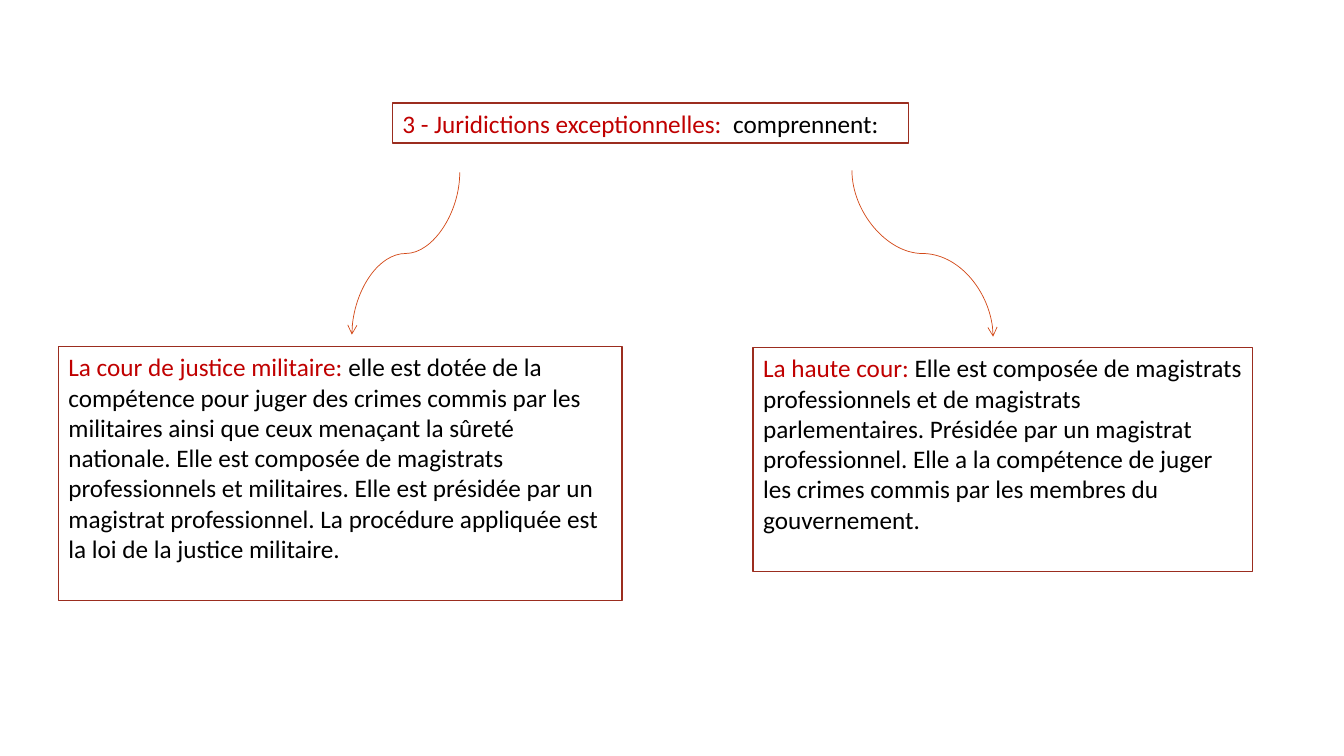
from lxml import etree
from pptx import Presentation
from pptx import util as u
from pptx.dml.color import RGBColor
from pptx.enum import shapes, text
from pptx.oxml import ns

RED, BLACK, BROWN, ORANGE, WHITE = "C00000", "000000", "9B2D1F", "D34817", "FFFFFF"


def colour(value):
    return RGBColor.from_string(value)


def add_text(paragraph, content, size=18, font="Calibri", color=BLACK):
    run = paragraph.add_run()
    run.text = content
    run.font.size = u.Pt(size)
    run.font.name = font
    run.font.color.rgb = colour(color)


presentation = Presentation()
presentation.slide_width = u.Inches(13.33)
presentation.slide_height = u.Inches(7.5)
slide = presentation.slides.add_slide(presentation.slide_layouts[5])

heading = slide.shapes.title
military_court = slide.shapes.add_textbox(0, 0, 0, 0)
high_court = slide.shapes.add_textbox(0, 0, 0, 0)

boxes = [
    (heading, 3.89, 1.02, 5.12, 0.4,
     "3 - Juridictions exceptionnelles:", "  comprennent:"),
    (military_court, 0.58, 3.44, 5.59, 2.52,
     "La cour de justice militaire: ",
     "elle est dotée de la compétence pour juger des crimes commis par les "
     "militaires ainsi que ceux menaçant la sûreté nationale. Elle est composée "
     "de magistrats professionnels et militaires. Elle est présidée par un "
     "magistrat professionnel. La procédure appliquée est la loi de la justice "
     "militaire."),
    (high_court, 7.47, 3.45, 4.95, 2.22,
     "La haute cour: ",
     "Elle est composée de magistrats professionnels et de magistrats "
     "parlementaires. Présidée par un magistrat professionnel. Elle a la "
     "compétence de juger les crimes commis par les membres du gouvernement."),
]
for shape, left, top, width, height, label, description in boxes:
    shape.left, shape.top = u.Inches(left), u.Inches(top)
    shape.width, shape.height = u.Inches(width), u.Inches(height)
    shape.fill.solid()
    shape.fill.fore_color.rgb = colour(WHITE)
    shape.line.color.rgb = colour(BROWN)
    shape.line.width = u.Pt(1)
    frame = shape.text_frame
    frame.word_wrap = True
    frame.auto_size = text.MSO_AUTO_SIZE.NONE
    frame.vertical_anchor = text.MSO_ANCHOR.TOP
    paragraph = frame.paragraphs[0]
    paragraph.alignment = text.PP_ALIGN.LEFT
    paragraph.line_spacing = 1.0
    add_text(paragraph, label, color=RED)
    add_text(paragraph, description)

arrows = [(8.45, 1.69, 9.85, 3.34), (4.56, 1.71, 3.49, 3.32)]
for start_x, start_y, end_x, end_y in arrows:
    length, spread = end_y - start_y, abs(end_x - start_x)
    left = (start_x + end_x - length) / 2
    top = (start_y + end_y - spread) / 2
    connector = slide.shapes.add_connector(
        shapes.MSO_CONNECTOR.CURVE, u.Inches(left), u.Inches(top),
        u.Inches(left + length), u.Inches(top + spread))
    connector.line.color.rgb = colour(ORANGE)
    connector.line.width = u.Pt(0.5)
    properties = connector._element.spPr
    transform = properties.find(ns.qn("a:xfrm"))
    if end_x > start_x:
        transform.set("rot", str(270 * 60000))
        transform.set("flipH", "1")
    else:
        transform.set("rot", str(90 * 60000))
    outline = properties.find(ns.qn("a:ln"))
    etree.SubElement(outline, ns.qn("a:tailEnd"), type="arrow")
    etree.SubElement(properties, ns.qn("a:effectLst"))

presentation.save("out.pptx")
